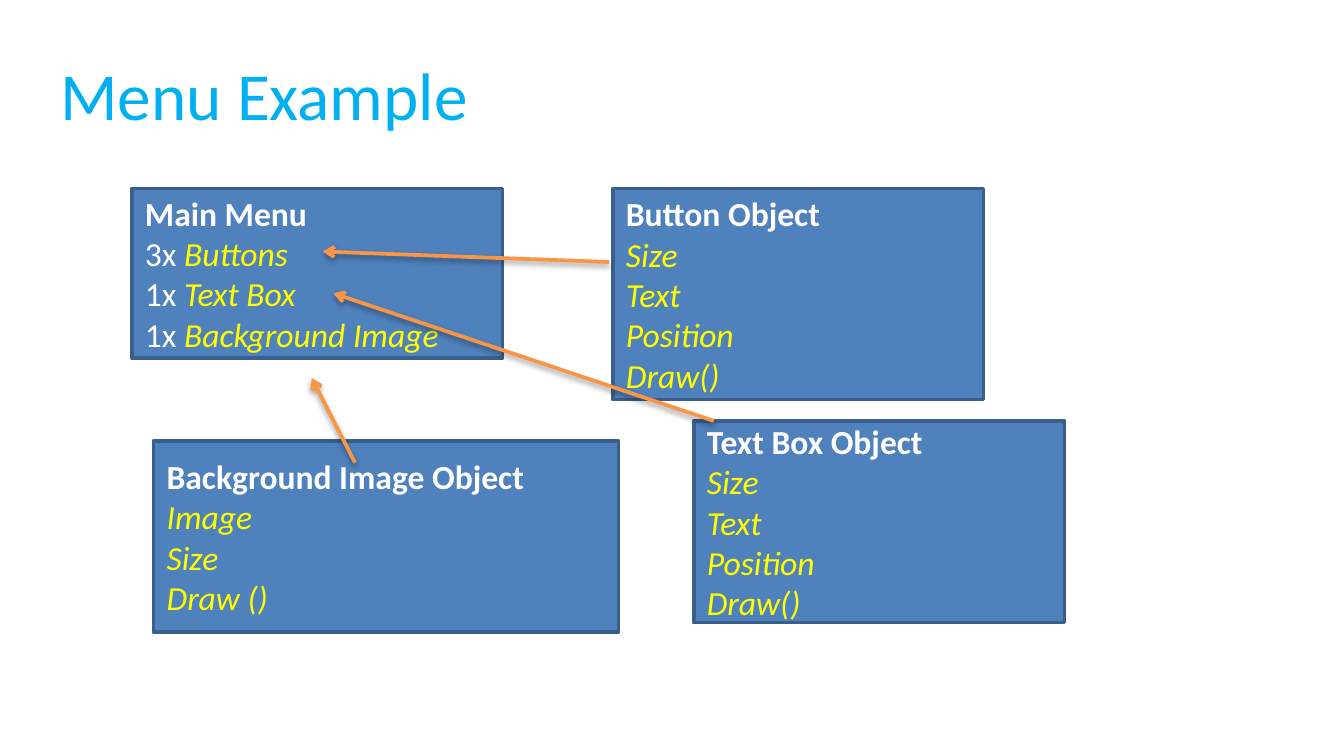
"""Build the Menu Example slide: a main menu and the objects it uses."""
from lxml import etree
from pptx import Presentation
from pptx import util as u
from pptx.dml.color import RGBColor
from pptx.enum import shapes, text
from pptx.oxml.ns import qn

THEME = {
    "font": "Calibri", "title_size": 36, "body_size": 18, "line_width": 2,
    "title": "00B0F0", "fill": "4F81BD", "border": "3A5F8C",
    "plain": "FFFFFF", "member": "FFFF00", "arrow": "F79646", "shadow": "000000",
}
SLIDE_SIZE = (25.4, 14.28)
TITLE = ("Menu Example", (0.89, 0.58, 23.24, 2.39))
BOXES = [
    ("Main Menu", (2.49, 3.56, 7.01, 3.2),
     [("3x ", "Buttons"), ("1x ", "Text Box"), ("1x ", "Background Image")]),
    ("Background Image Object", (2.9, 8.33, 8.79, 3.61),
     [("", "Image"), ("", "Size"), ("", "Draw ()")]),
    ("Text Box Object", (13.11, 7.95, 7.01, 3.81),
     [("", "Size"), ("", "Text"), ("", "Position"), ("", "Draw()")]),
    ("Button Object", (11.58, 3.56, 7.01, 3.99),
     [("", "Size"), ("", "Text"), ("", "Position"), ("", "Draw()")]),
]
ARROWS = [
    (6.71, 8.74, 5.89, 7.14),
    (13.49, 7.95, 6.3, 5.54),
    (11.51, 4.95, 6.1, 4.75),
]


def color(name):
    return RGBColor.from_string(THEME[name])


def lengths(values):
    return [u.Cm(value) for value in values]


def style_font(font, size, color_name, bold=False, italic=False):
    font.name, font.size = THEME["font"], u.Pt(THEME[size])
    font.bold, font.italic = bold, italic
    font.color.rgb = color(color_name)


def style_line(line, color_name):
    line.color.rgb = color(color_name)
    line.width = u.Pt(THEME["line_width"])


def add_title(page):
    words, place = TITLE
    title = page.shapes.title
    title.left, title.top, title.width, title.height = lengths(place)
    title.text_frame.text = words
    title.text_frame.vertical_anchor = text.MSO_ANCHOR.MIDDLE
    para = title.text_frame.paragraphs[0]
    para.alignment = text.PP_ALIGN.LEFT
    style_font(para.font, "title_size", "title")


def add_box(page, heading, place, members):
    box = page.shapes.add_shape(shapes.MSO_SHAPE.RECTANGLE, *lengths(place))
    box.shadow.inherit = False
    box.fill.solid()
    box.fill.fore_color.rgb = color("fill")
    style_line(box.line, "border")
    frame = box.text_frame
    frame.word_wrap = True
    frame.vertical_anchor = text.MSO_ANCHOR.MIDDLE
    para = frame.paragraphs[0]
    para.text = heading
    para.alignment = text.PP_ALIGN.LEFT
    style_font(para.font, "body_size", "plain", bold=True)
    for count, member in members:
        para = frame.add_paragraph()
        para.alignment = text.PP_ALIGN.LEFT
        style_font(para.font, "body_size", "member", italic=True)
        if count:
            span = para.add_run()
            span.text = count
            style_font(span.font, "body_size", "plain")
        para.add_run().text = member


def add_arrow(page, ends):
    arrow = page.shapes.add_connector(shapes.MSO_CONNECTOR.STRAIGHT, *lengths(ends))
    style_line(arrow.line, "arrow")
    etree.SubElement(arrow.line._get_or_add_ln(), qn("a:tailEnd"), type="arrow")
    effects = etree.SubElement(arrow._element.spPr, qn("a:effectLst"))
    shadow = etree.SubElement(effects, qn("a:outerShdw"), blurRad=str(u.Pt(3.1)),
                              dist=str(u.Pt(1.6)), dir="5400000", rotWithShape="0")
    tint = etree.SubElement(shadow, qn("a:srgbClr"), val=THEME["shadow"])
    etree.SubElement(tint, qn("a:alpha"), val="38000")


def main():
    deck = Presentation()
    deck.slide_width, deck.slide_height = lengths(SLIDE_SIZE)
    page = deck.slides.add_slide(deck.slide_layouts[5])
    add_title(page)
    for box in BOXES:
        add_box(page, *box)
    for ends in ARROWS:
        add_arrow(page, ends)
    deck.save("out.pptx")


if __name__ == "__main__":
    main()
